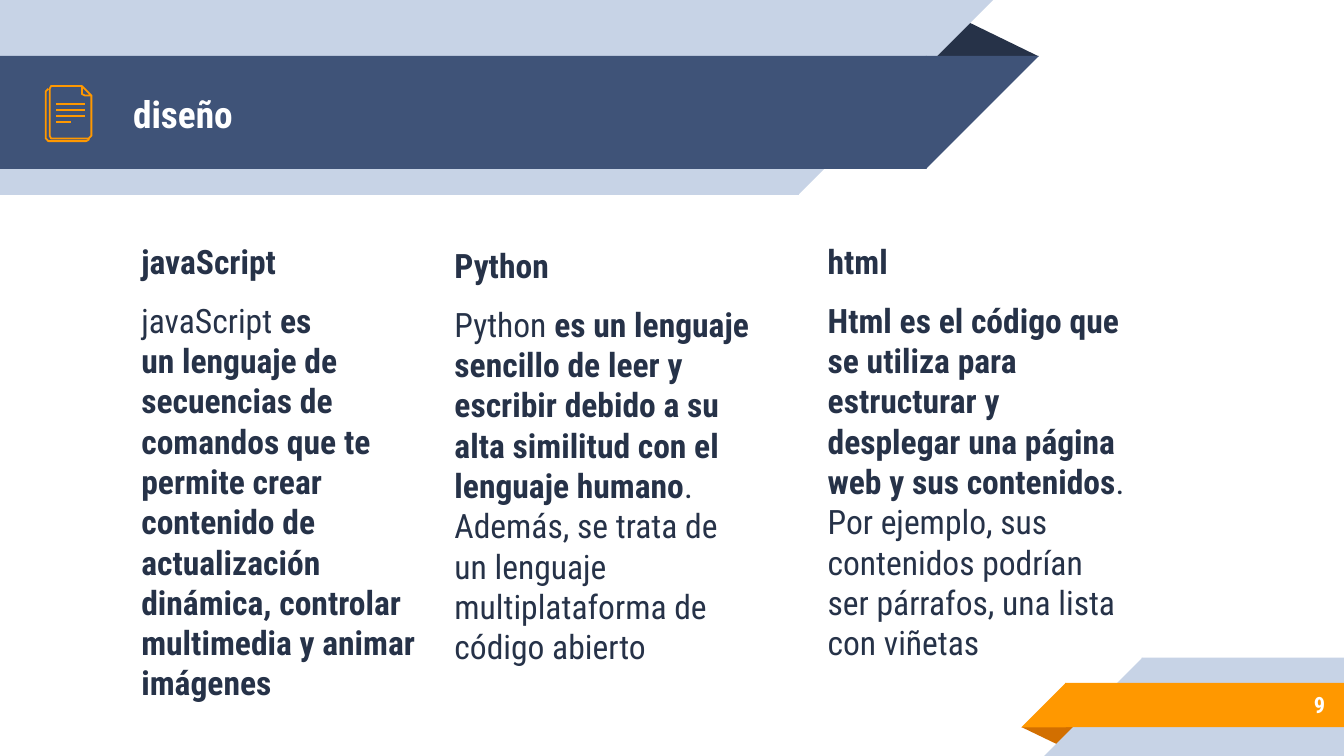
from pptx import Presentation
from pptx.dml.color import RGBColor
from pptx.enum.shapes import MSO_CONNECTOR as Link, MSO_SHAPE as Kind
from pptx.enum.text import MSO_ANCHOR as Anchor, MSO_AUTO_SIZE as Fit, PP_ALIGN as Align
from pptx.oxml.ns import qn
from pptx.util import Inches, Pt
from lxml import etree

WHITE = RGBColor(0xFF, 0xFF, 0xFF)
INK = RGBColor(0x26, 0x32, 0x48)
NAVY = RGBColor(0x3F, 0x53, 0x78)
PALE = RGBColor(0xC7, 0xD3, 0xE6)
AMBER = RGBColor(0xFF, 0x98, 0x00)
RUST = RGBColor(0xD2, 0x6F, 0x00)

FONT = "Roboto Condensed"
COLS, ROWS = 100, 56.25  # square cells of a tenth of an inch
CELL = Inches(0.1)
LAP = 0.05  # overlap that hides the seam inside a band
TIE = chr(160)  # no-break space

# left, top, height, heading, runs as (text, bold)
TOPICS = [
    (9.53, 16.9, 29.6, "javaScript", [
        (f"javaScript{TIE}", False),
        (f"es un{TIE}lenguaje de secuencias de comandos{TIE}que te permite "
         "crear contenido de actualización dinámica, controlar multimedia y "
         "animar imágenes", True)]),
    (32.83, 17.2, 28.9, "Python", [
        (f"Python{TIE}", False),
        ("es un lenguaje sencillo de leer y escribir debido a su alta "
         "similitud con el lenguaje humano", True),
        (". Además, se trata de un lenguaje multiplataforma de código "
         "abierto", False)]),
    (60.6, 16.9, 29.6, "html", [
        ("Html es el código que se utiliza para estructurar y desplegar "
         "una página web y sus contenidos", True),
        (". Por ejemplo, sus contenidos podrían ser párrafos, una lista "
         "con viñetas", False)]),
]

BACK = [(6.6, 10.3), (6.6, 10.4), (6.4, 10.5), (3.6, 10.5), (3.4, 10.3),
        (3.4, 6.8), (3.6, 6.6)]
FRONT = [(6.8, 7.1), (6.8, 10.1), (6.6, 10.3), (3.8, 10.3), (3.7, 10.1),
         (3.7, 6.6), (3.8, 6.4), (6.1, 6.4)]
CORNER = [(6.1, 6.4), (6.8, 7.1), (6.3, 7.1), (6.1, 7)]


def cells(*spans):
    return [round(span * CELL) for span in spans]


class Page:
    """Holds the current slide and draws on it in grid cells."""

    def __init__(self, deck):
        self.slide = deck.slides.add_slide(deck.slide_layouts[5])
        self.shapes = self.slide.shapes

    def block(self, kind, box, color, turn=0):
        shape = self.shapes.add_shape(kind, *cells(*box))
        shape.shadow.inherit = False
        shape.fill.solid()
        shape.fill.fore_color.rgb = color
        shape.line.fill.background()
        shape.rotation = turn
        return shape

    def fold(self, box, color, turn=0):
        self.block(Kind.ISOSCELES_TRIANGLE, box, color, turn).adjustments[0] = 0.324

    def head_band(self, top, width, high, color):
        """Band from the left edge, slanted at its right end."""
        self.block(Kind.RECTANGLE, (0, top, width + LAP, high), color)
        self.block(Kind.RIGHT_TRIANGLE, (width, top, high, high), color, 90)

    def foot_band(self, left, top, high, color):
        """Band to the right edge, slanted at its left end."""
        self.block(Kind.RECTANGLE, (left - LAP, top, COLS - left + LAP, high), color)
        self.block(Kind.RIGHT_TRIANGLE, (left - high, top, high, high), color, 270)

    def style(self, part, size, color, bold=True):
        for run in part.runs:
            font = run.font
            font.name, font.size, font.bold = FONT, Pt(size), bold
            font.color.rgb = color

    def frame(self, shape, anchor):
        text = shape.text_frame
        text.word_wrap = True
        text.auto_size = Fit.NONE
        text.vertical_anchor = anchor
        text.margin_left = text.margin_right = CELL
        text.margin_top = text.margin_bottom = CELL
        return text

    def label(self, shape, words, size, align):
        text = self.frame(shape, Anchor.MIDDLE)
        text.text = words
        text.paragraphs[0].alignment = align
        self.style(text.paragraphs[0], size, WHITE)

    def title(self, box, words):
        shape = self.shapes.title
        shape.left, shape.top, shape.width, shape.height = cells(*box)
        self.label(shape, words, 20, Align.LEFT)
        tree = shape.element.getparent()
        tree.append(shape.element)  # bring in front of the bands

    def number(self, box, words):
        self.label(self.shapes.add_textbox(*cells(*box)), words, 12, Align.RIGHT)

    def topic(self, left, top, high, head, runs):
        box = self.shapes.add_textbox(*cells(left, top, 24.5, high))
        text = self.frame(box, Anchor.TOP)
        text.text = head
        first, body = text.paragraphs[0], text.add_paragraph()
        first.space_before = Pt(6)
        body.space_before = Pt(10)
        for words, _ in runs:
            body.add_run().text = words
        self.style(first, 18, INK)
        self.style(body, 18, INK)
        for run, (_, bold) in zip(body.runs, runs):
            run.font.bold = bold

    def stroke(self, shape):
        shape.line.color.rgb = AMBER
        shape.line.width = Pt(0.96)

    def outline(self, points, close=False):
        spots = [cells(*point) for point in points]
        pen = self.shapes.build_freeform(*spots[0])
        pen.add_line_segments(spots[1:], close=close)
        shape = pen.convert_to_shape()
        shape.shadow.inherit = False
        shape.fill.background()
        self.stroke(shape)

    def rule(self, left, right, row):
        line = self.shapes.add_connector(Link.STRAIGHT, *cells(left, row, right, row))
        self.stroke(line)
        etree.SubElement(line.element.spPr, qn("a:effectLst"))


def main():
    deck = Presentation()
    deck.slide_width, deck.slide_height = cells(COLS, ROWS)
    page = Page(deck)

    page.fold((68.8, 1.4, 8.5, 2.8), INK)
    page.head_band(0, 59.4, 14.5, PALE)
    page.head_band(4.17, 68.9, 8.4, NAVY)
    page.fold((76, 54.1, 4.3, 1.4), RUST, 180)
    page.foot_band(85, 48.93, 7.32, PALE)
    page.foot_band(79.3, 50.82, 3.3, AMBER)

    page.title((8.9, 4.25, 57.5, 8.4), "diseño")
    for topic in TOPICS:
        page.topic(*topic)
    page.number((83.3, 50.7, 16.3, 3.5), "9")

    page.outline(BACK)
    page.outline(FRONT)
    for step, right in enumerate((6.3, 6.3, 6.3, 5.3)):
        page.rule(4.2, right, 7.75 + 0.45 * step)
    page.outline(CORNER, close=True)

    deck.save("out.pptx")


if __name__ == "__main__":
    main()
